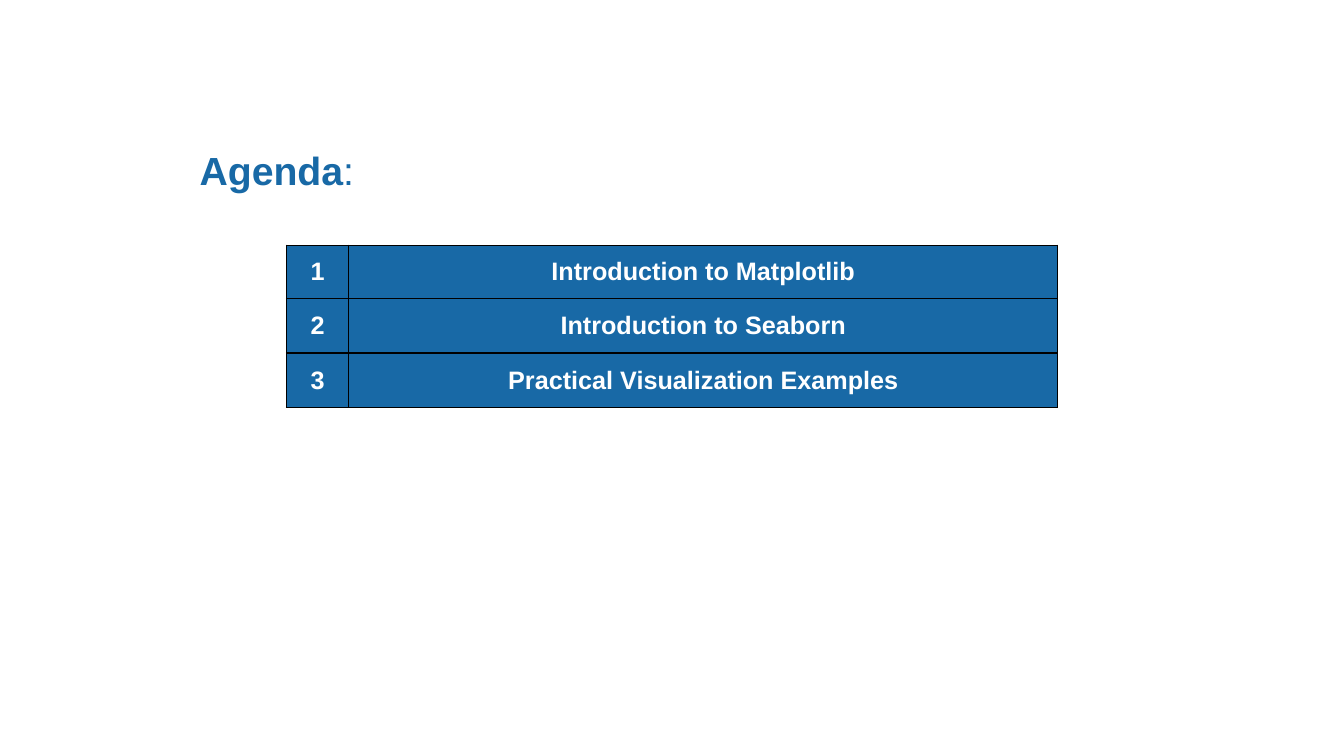
from dataclasses import dataclass

from lxml import etree
from pptx import Presentation
from pptx.dml.color import RGBColor
from pptx.enum.text import MSO_ANCHOR, MSO_AUTO_SIZE, PP_ALIGN
from pptx.oxml.ns import qn
from pptx.slide import Slide
from pptx.table import _Cell
from pptx.text.text import Font
from pptx.util import Pt

LEFT, CENTER = PP_ALIGN.LEFT, PP_ALIGN.CENTER
TOP, MIDDLE = MSO_ANCHOR.TOP, MSO_ANCHOR.MIDDLE
NO_FIT = MSO_AUTO_SIZE.NONE


@dataclass(frozen=True)
class Theme:
    face: str = "Arial"
    blue: str = "1869A6"
    white: str = "FFFFFF"
    black: str = "000000"
    head: float = 28
    body: float = 18
    rule: float = 1


@dataclass(frozen=True)
class Topic:
    label: str
    height: float


THEME = Theme()
TOPICS = [
    Topic("Introduction to Matplotlib", 38),
    Topic("Introduction to Seaborn", 39),
    Topic("Practical Visualization Examples", 39),
]
WIDTHS = [44.6, 506.4]


def style(font: Font, size: float, color: str, bold: bool = True) -> None:
    font.name = THEME.face
    font.size = Pt(size)
    font.bold = bold
    font.color.rgb = RGBColor.from_string(color)


def border(cell: _Cell) -> None:
    props = cell._tc.get_or_add_tcPr()
    for side in ("L", "R", "T", "B"):
        line = etree.SubElement(props, qn(f"a:ln{side}"), w=str(Pt(THEME.rule)))
        fill = etree.SubElement(line, qn("a:solidFill"))
        etree.SubElement(fill, qn("a:srgbClr"), val=THEME.black)


def fill_cell(cell: _Cell, text: str) -> None:
    border(cell)
    cell.fill.solid()
    cell.fill.fore_color.rgb = RGBColor.from_string(THEME.blue)
    cell.vertical_anchor = MIDDLE
    cell.text_frame.text = text
    para = cell.text_frame.paragraphs[0]
    para.alignment = CENTER
    style(para.runs[0].font, THEME.body, THEME.white)


def add_title(slide: Slide) -> None:
    title = slide.shapes.title
    title.left, title.top = Pt(135.4), Pt(100.8)
    title.width, title.height = Pt(137.5), Pt(41)
    frame = title.text_frame
    frame.auto_size = NO_FIT
    frame.word_wrap = True
    frame.vertical_anchor = TOP
    frame.text = "Agenda"
    para = frame.paragraphs[0]
    para.alignment = LEFT
    para.add_run().text = ":"
    for run, bold in zip(para.runs, (True, False)):
        style(run.font, THEME.head, THEME.blue, bold)


def add_topics(slide: Slide) -> None:
    height = sum(topic.height for topic in TOPICS)
    table = slide.shapes.add_table(
        len(TOPICS), len(WIDTHS), Pt(204.6), Pt(175.2), Pt(sum(WIDTHS)), Pt(height)
    ).table
    table.first_row = table.horz_banding = False
    for column, width in zip(table.columns, WIDTHS):
        column.width = Pt(width)
    for index, topic in enumerate(TOPICS):
        table.rows[index].height = Pt(topic.height)
        fill_cell(table.cell(index, 0), str(index + 1))
        fill_cell(table.cell(index, 1), topic.label)


def main() -> None:
    deck = Presentation()
    deck.slide_width, deck.slide_height = Pt(960), Pt(540)
    slide = deck.slides.add_slide(deck.slide_layouts[5])
    add_title(slide)
    add_topics(slide)
    deck.save("out.pptx")


if __name__ == "__main__":
    main()
